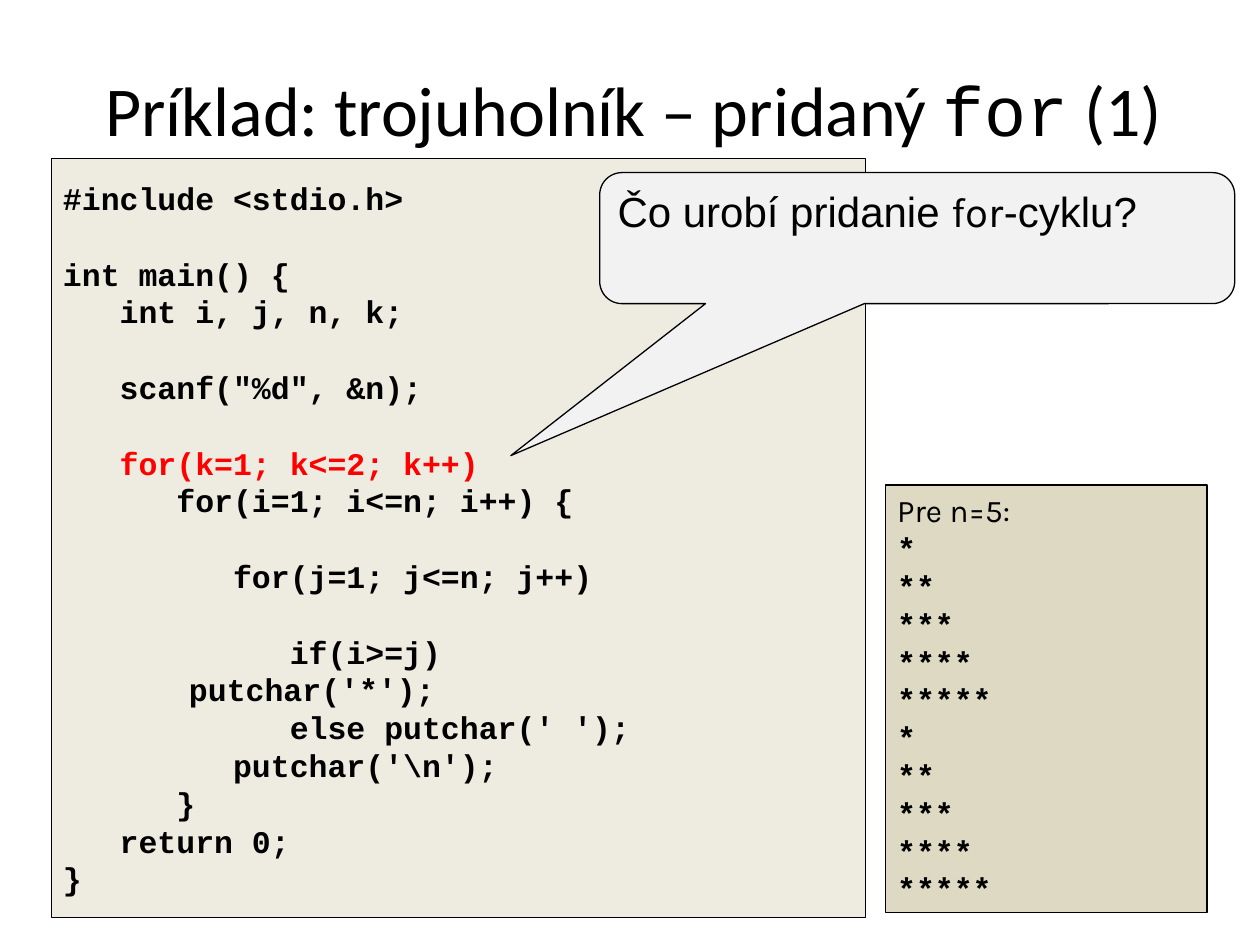
from pptx import Presentation
from pptx import util as u
from pptx.dml.color import RGBColor
from pptx.enum import shapes, text

COLORS = {"ink": "000000", "accent": "FF0000", "code": "EEECE1",
          "output": "DDD9C3", "callout": "F2F2F2"}
MONO = "Courier New"

TITLE = [("Príklad: trojuholník – pridaný ", "Calibri"), ("for", MONO), (" (1)", "Calibri")]
QUESTION = [("Čo urobí pridanie ", "Arial"), ("for", "Karla"), ("-cyklu?", "Arial")]
ADDED_LOOP = "for(k=1; k<=2; k++)"
CODE = r"""#include <stdio.h>

int main() {
   int i, j, n, k;

   scanf("%d", &n);

   for(k=1; k<=2; k++)
      for(i=1; i<=n; i++) {

         for(j=1; j<=n; j++)

            if(i>=j)
		putchar('*');
            else putchar(' ');
         putchar('\n');
      }
   return 0;
}""".split("\n")
OUTPUT_LABEL = "Pre n=5:"
TRIANGLE = ["*" * size for size in range(1, 6)]
REPEATS = 2

# left, top, width, height in inches
TITLE_AREA = (0.49, 0.4, 9.08, 0.93)
OUTPUT_AREA = (7.03, 3.85, 2.55, 3.39)
CODE_AREA = (0.41, 1.26, 6.46, 6.02)
CALLOUT_AREA = (4.76, 1.37, 5.04, 1.04)
CALLOUT_POINTER = (-0.64, 1.66, 0.17)


def color(name):
    return RGBColor.from_string(COLORS[name])


def prepare_frame(shape, anchor):
    frame = shape.text_frame
    frame.word_wrap = True
    frame.vertical_anchor = anchor
    frame.margin_left = frame.margin_right = u.Inches(0.09)
    frame.margin_top = frame.margin_bottom = u.Inches(0.05)
    return frame


def add_panel(slide, kind, area, fill, anchor=text.MSO_ANCHOR.TOP):
    shape = slide.shapes.add_shape(kind, *map(u.Inches, area))
    shape.shadow.inherit = False
    shape.fill.solid()
    shape.fill.fore_color.rgb = color(fill)
    shape.line.color.rgb = color("ink")
    shape.line.width = u.Pt(0.75)
    return shape, prepare_frame(shape, anchor)


def style(font, size, name, bold=False, ink="ink"):
    font.size = u.Pt(size)
    font.name = name
    font.bold = bold
    font.color.rgb = color(ink)


def write_runs(frame, runs, size, alignment):
    paragraph = frame.paragraphs[0]
    paragraph.alignment = alignment
    for content, name in runs:
        run = paragraph.add_run()
        run.text = content
        style(run.font, size, name)


def write_lines(frame, lines):
    """Write (content, font name, bold) lines, marking the added loop."""
    for index, (content, name, bold) in enumerate(lines):
        paragraph = frame.add_paragraph() if index else frame.paragraphs[0]
        paragraph.alignment = text.PP_ALIGN.LEFT
        style(paragraph.font, 18, name, bold)
        before, loop, after = content.partition(ADDED_LOOP)
        for part in filter(None, (before, loop, after)):
            run = paragraph.add_run()
            run.text = part
            if part == ADDED_LOOP:
                run.font.color.rgb = color("accent")


def main():
    presentation = Presentation()
    presentation.slide_width, presentation.slide_height = u.Inches(10), u.Inches(7.5)
    slide = presentation.slides.add_slide(presentation.slide_layouts[6])
    kinds = shapes.MSO_SHAPE

    title = slide.shapes.add_textbox(*map(u.Inches, TITLE_AREA))
    write_runs(prepare_frame(title, text.MSO_ANCHOR.MIDDLE), TITLE, 40, text.PP_ALIGN.CENTER)

    _, output = add_panel(slide, kinds.RECTANGLE, OUTPUT_AREA, "output")
    write_lines(output, [(OUTPUT_LABEL, "Karla", False)]
                + [(row, MONO, True) for row in TRIANGLE * REPEATS])

    _, code = add_panel(slide, kinds.RECTANGLE, CODE_AREA, "code", text.MSO_ANCHOR.MIDDLE)
    write_lines(code, [(line, MONO, True) for line in CODE])

    callout, question = add_panel(slide, kinds.ROUNDED_RECTANGULAR_CALLOUT,
                                  CALLOUT_AREA, "callout")
    for index, value in enumerate(CALLOUT_POINTER):
        callout.adjustments[index] = value
    write_runs(question, QUESTION, 24, text.PP_ALIGN.LEFT)

    presentation.save("out.pptx")


if __name__ == "__main__":
    main()
